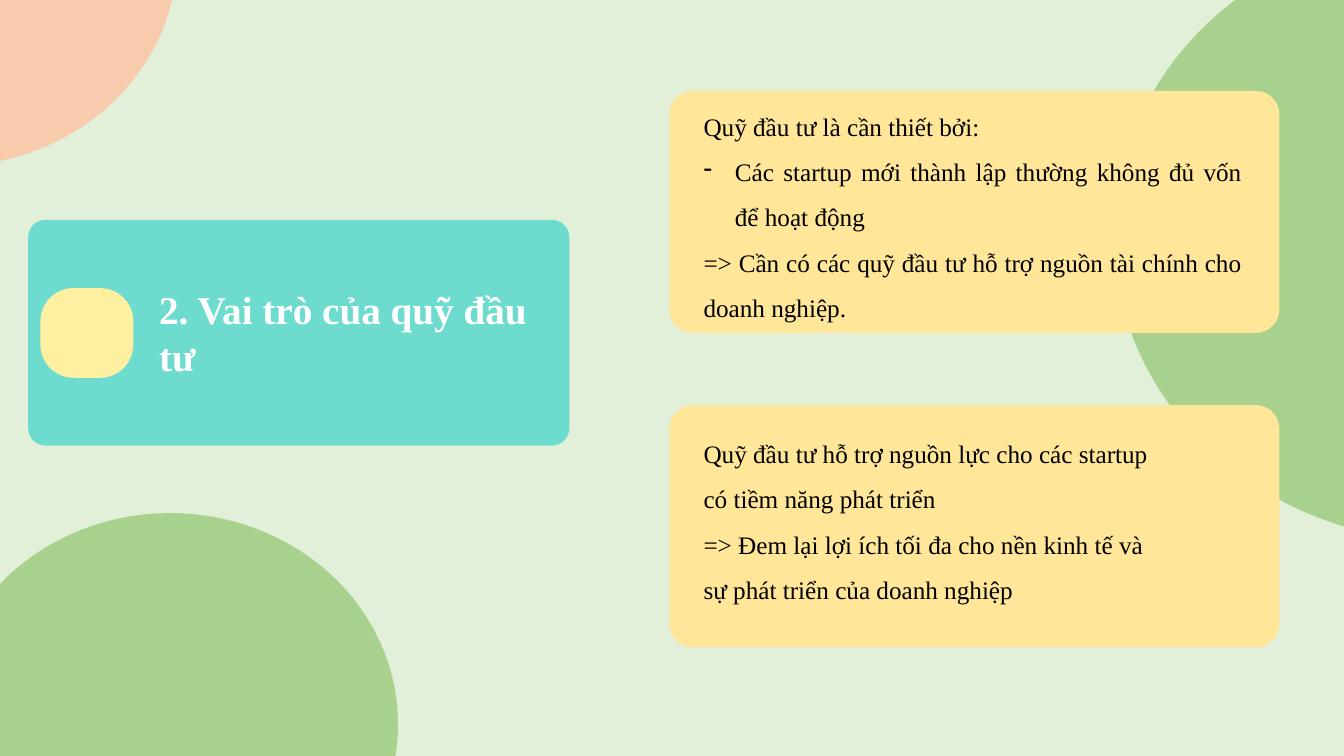
from pptx import Presentation
from pptx.dml.color import RGBColor
from pptx.enum.shapes import MSO_SHAPE as Preset
from pptx.enum.text import MSO_AUTO_SIZE as AutoSize, PP_ALIGN as Align
from pptx.oxml.ns import qn
from pptx.util import Cm, Pt
from lxml.etree import SubElement

COLORS = {
    "background": "E2F0D9",
    "peach": "F8CBAD",
    "green": "A9D18E",
    "teal": "6DDCCF",
    "marker": "FFEFA1",
    "card": "FFE699",
    "white": "FFFFFF",
    "black": "000000",
}
FONT = "Times New Roman"
BULLET = "- "
CARD_LEFT, CARD_WIDTH, CARD_HEIGHT = 16.87, 15.37, 6.1
CARD_TEXT_LEFT = 17.48


def color(name):
    return RGBColor.from_string(COLORS[name])


def add_filled(shapes, preset, box, fill, corner=None):
    """Add a borderless shape; box is left, top, width, height in cm."""
    filled = shapes.add_shape(preset, *map(Cm, box))
    filled.shadow.inherit = False
    filled.fill.solid()
    filled.fill.fore_color.rgb = color(fill)
    filled.line.fill.background()
    if corner is not None:
        filled.adjustments[0] = corner


def add_dash(paragraph, indent=Cm(0.79)):
    properties = paragraph._p.get_or_add_pPr()
    properties.set("marL", str(indent))
    properties.set("indent", str(-indent))
    SubElement(properties, qn("a:buFontTx"))
    SubElement(properties, qn("a:buChar")).set("char", BULLET.strip())


def add_text(shapes, box, lines, size=18, fill="black", bold=False,
             align=Align.LEFT, spacing=1.5):
    """Add one paragraph per line; lines starting with BULLET get a dash."""
    frame = shapes.add_textbox(*map(Cm, box)).text_frame
    frame.word_wrap = True
    frame.auto_size = AutoSize.SHAPE_TO_FIT_TEXT
    for number, line in enumerate(lines):
        paragraph = frame.add_paragraph() if number else frame.paragraphs[0]
        if line.startswith(BULLET):
            add_dash(paragraph)
        paragraph.alignment = align
        paragraph.line_spacing = spacing
        run = paragraph.add_run()
        run.text = line.removeprefix(BULLET)
        run.font.name = FONT
        run.font.size = Pt(size)
        run.font.bold = bold
        run.font.color.rgb = color(fill)


def add_card(slide, top, text_box, lines, **text_format):
    card = slide.shapes.add_group_shape().shapes
    add_filled(card, Preset.ROUNDED_RECTANGLE,
               (CARD_LEFT, top, CARD_WIDTH, CARD_HEIGHT), "card", 0.097)
    add_text(card, (CARD_TEXT_LEFT, *text_box), lines, **text_format)


def main():
    deck = Presentation()
    deck.slide_width, deck.slide_height = Cm(33.87), Cm(19.05)
    slide = deck.slides.add_slide(deck.slide_layouts[6])
    slide.background.fill.solid()
    slide.background.fill.fore_color.rgb = color("background")
    shapes = slide.shapes

    # Decorative circles at the slide edges
    for box, fill in (
        ((-7.01, -6.48, 11.48, 10.67), "peach"),
        ((28.07, -1.78, 16.94, 15.44), "green"),
        ((-1.45, 12.93, 11.48, 10.64), "green"),
    ):
        add_filled(shapes, Preset.OVAL, box, fill)

    # Section heading
    add_filled(shapes, Preset.ROUNDED_RECTANGLE, (0.71, 5.54, 13.64, 5.69), "teal", 0.077)
    add_filled(shapes, Preset.ROUNDED_RECTANGLE, (1.02, 7.26, 2.34, 2.26), "marker", 0.369)
    add_text(shapes, (3.76, 7.06, 10.21, 2.64), ["2. Vai trò của quỹ đầu tư"],
             size=28, fill="white", bold=True, spacing=1.0)

    # Reasons and benefits
    add_card(slide, 2.29, (2.29, 14.07, 5.89), [
        "Quỹ đầu tư là cần thiết bởi:",
        "- Các startup mới thành lập thường không đủ vốn để hoạt động",
        "=> Cần có các quỹ đầu tư hỗ trợ nguồn tài chính cho doanh nghiệp.",
    ], align=Align.JUSTIFY)
    add_card(slide, 10.21, (10.54, 12.04, 4.72), [
        "Quỹ đầu tư hỗ trợ nguồn lực cho các startup có tiềm năng phát triển",
        "=> Đem lại lợi ích tối đa cho nền kinh tế và sự phát triển của doanh nghiệp",
    ])

    deck.save("out.pptx")


if __name__ == "__main__":
    main()
